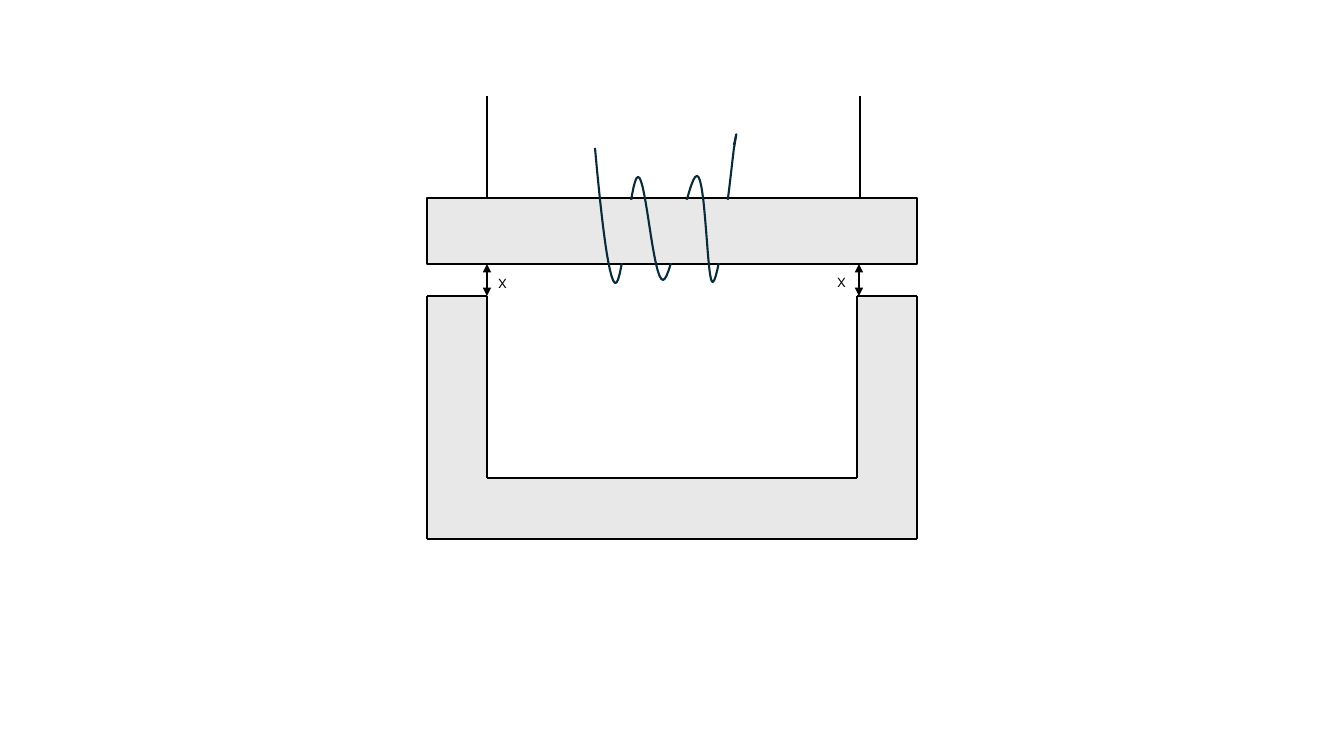
from itertools import pairwise

from pptx import Presentation
from pptx.dml.color import RGBColor
from pptx.enum.shapes import MSO_CONNECTOR, MSO_SHAPE
from pptx.enum.text import MSO_AUTO_SIZE
from pptx.oxml.ns import qn
from pptx.util import Pt
from lxml import etree

RECTANGLE = MSO_SHAPE.RECTANGLE
STRAIGHT = MSO_CONNECTOR.STRAIGHT
FIT_SHAPE = MSO_AUTO_SIZE.SHAPE_TO_FIT_TEXT
PX = 914400 / 100.8


class Theme:
    iron = RGBColor(0xE8, 0xE8, 0xE8)
    ink = RGBColor(0x00, 0x00, 0x00)
    wire = RGBColor(0x09, 0x2A, 0x39)
    stroke = Pt(1.5)
    font = "Karla"
    label_size = Pt(10.5)


def emu(*lengths):
    return [round(length * PX) for length in lengths]


def add_line(start, end, arrows=False):
    line = page.shapes.add_connector(STRAIGHT, *emu(*start, *end))
    line.line.color.rgb = Theme.ink
    line.line.width = Theme.stroke
    properties = line._element.spPr
    if arrows:
        outline = properties.find(qn("a:ln"))
        for tip in ("a:headEnd", "a:tailEnd"):
            etree.SubElement(outline, qn(tip), type="triangle")
    etree.SubElement(properties, qn("a:effectLst"))


deck = Presentation()
deck.slide_width, deck.slide_height = emu(1344, 756)
page = deck.slides.add_slide(deck.slide_layouts[6])

# Upper bar and the two lines it hangs from
left, right = 427, 917
inner_left, inner_right = 487, 857
bar_top, bar_bottom = 198, 264
bar = page.shapes.add_shape(
    RECTANGLE, *emu(left, bar_top, right - left, bar_bottom - bar_top))
bar.shadow.inherit = False
bar.fill.solid()
bar.fill.fore_color.rgb = Theme.iron
bar.line.color.rgb = Theme.ink
bar.line.width = Theme.stroke
for hanger_x in (inner_left, 860):
    add_line((hanger_x, bar_top), (hanger_x, 96))

# Coil: each curve holds two control points and its end point
coil_start = (595, 148)
coil_curves = [
    ((601, 214), (608, 278), (615, 283)),
    ((623, 288), (630, 177), (638, 177)),
    ((646, 176), (653, 280), (663, 280)),
    ((672, 280), (688, 175), (697, 176)),
    ((706, 176), (707, 287), (713, 282)),
    ((720, 278), (731, 171), (734, 148)),
    ((738, 126), (736, 135), (734, 145)),
]
STEPS = 16
coil_points = []
anchor = coil_start
for control_a, control_b, end in coil_curves:
    for step in range(1, STEPS + 1):
        t = step / STEPS
        coil_points.append(emu(*(
            (1 - t) ** 3 * p0 + 3 * (1 - t) ** 2 * t * p1
            + 3 * (1 - t) * t ** 2 * p2 + t ** 3 * p3
            for p0, p1, p2, p3 in zip(anchor, control_a, control_b, end))))
    anchor = end
coil_builder = page.shapes.build_freeform(*emu(*coil_start))
coil_builder.add_line_segments(coil_points, close=False)
coil = coil_builder.convert_to_shape()
coil.shadow.inherit = False
coil.fill.background()
coil.line.color.rgb = Theme.wire
coil.line.width = Theme.stroke

# Iron patches that hide the rear of each turn, then the U-shaped core
core_top, core_bottom, floor = 296, 539, 478
limb = inner_left - left
patches = [(x, 200, 22, 63) for x in (616, 668, 716)]
core_parts = [
    (left, core_top, limb, core_bottom - core_top),
    (inner_right, core_top, limb, core_bottom - core_top),
    (473, floor, 384, core_bottom - floor),
]
for place in patches + core_parts:
    part = page.shapes.add_shape(RECTANGLE, *emu(*place))
    part.shadow.inherit = False
    part.fill.solid()
    part.fill.fore_color.rgb = Theme.iron
    part.line.fill.background()

core_outline = [
    (left, core_top), (inner_left, core_top), (inner_left, floor),
    (inner_right, floor), (inner_right, core_top), (right, core_top),
    (right, core_bottom), (left, core_bottom), (left, core_top),
]
for start, end in pairwise(core_outline):
    add_line(start, end)

# Air gaps
for arrow_x, label_x, label_y in ((inner_left, 488, 269), (859, 827, 268)):
    add_line((arrow_x, core_top), (arrow_x, bar_bottom), arrows=True)
    box = page.shapes.add_textbox(*emu(label_x, label_y, 29, 29))
    frame = box.text_frame
    frame.word_wrap = False
    frame.auto_size = FIT_SHAPE
    para = frame.paragraphs[0]
    para.text = "X"
    para.font.name = Theme.font
    para.font.size = Theme.label_size
    para.font.color.rgb = Theme.ink

deck.save("out.pptx")
